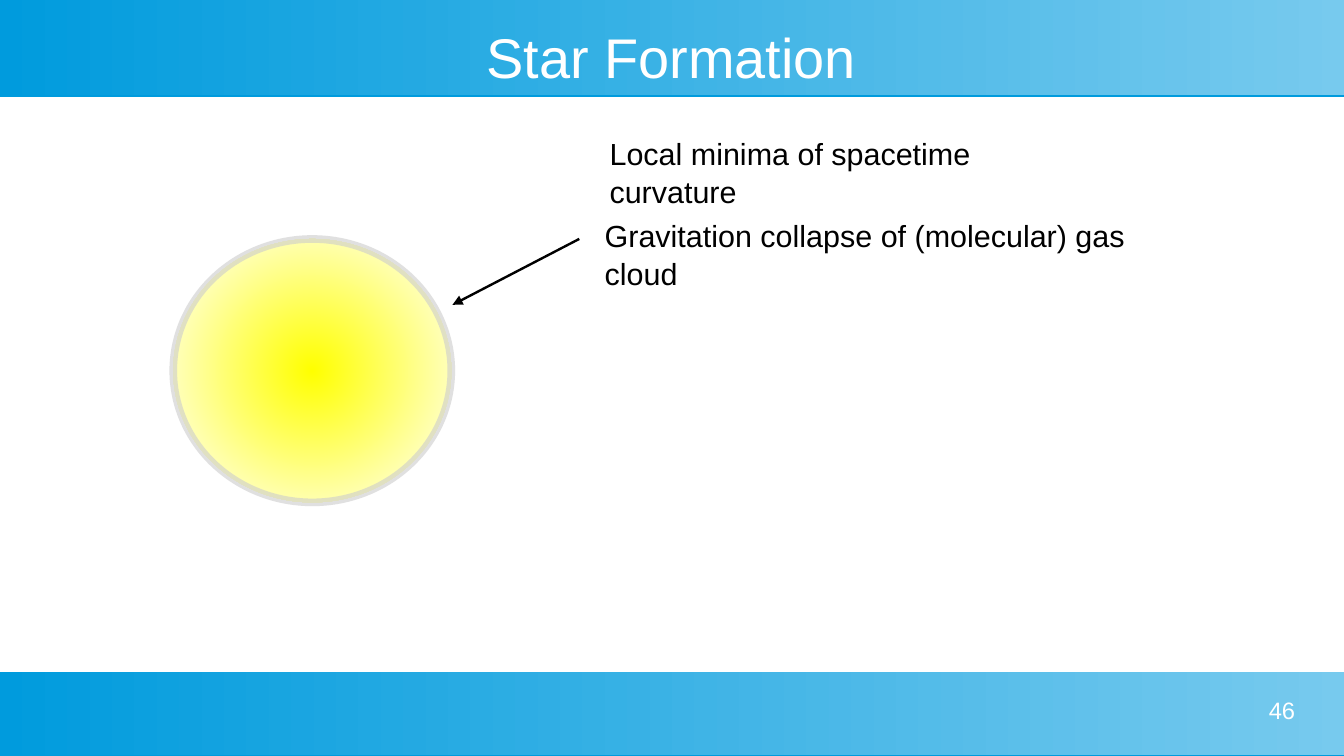
from dataclasses import dataclass

from lxml import etree
from pptx import Presentation
from pptx import util as u
from pptx.dml.color import RGBColor
from pptx.enum import shapes, text
from pptx.oxml import parse_xml
from pptx.oxml.ns import nsdecls, qn

WIDTH, HEIGHT = u.Inches(11.02), u.Inches(6.2)
FONT = "Arial"
BLUE, LIGHT_BLUE = "009BDD", "77CAEE"
WHITE, BLACK = "FFFFFF", "000000"


@dataclass(frozen=True)
class Box:
    left: float
    top: float
    width: float
    height: float

    def emu(self) -> tuple[int, int, int, int]:
        return (across(self.left), down(self.top),
                across(self.width), down(self.height))


@dataclass(frozen=True)
class Label:
    box: Box
    words: str
    size: float = 18
    color: str = BLACK
    align: text.PP_ALIGN = text.PP_ALIGN.LEFT
    margins: tuple[float, float] = (0.1, 0.05)
    anchor: text.MSO_ANCHOR = text.MSO_ANCHOR.TOP
    spacing: float = 1.0


BANDS = [Box(0, 0, 100, 12.58), Box(0, 88.87, 100, 10.97)]
STAR = Box(12.89, 31.61, 20.69, 34.84)
TITLE = Label(Box(3.54, 3.23, 92.83, 8.39), "Star Formation", 33, WHITE,
              text.PP_ALIGN.CENTER, (0, 0), text.MSO_ANCHOR.MIDDLE)
LABELS = [
    Label(Box(44.46, 16.94, 38.66, 5.97),
          "Local minima of spacetime curvature", spacing=1.04),
    Label(Box(44.1, 27.74, 46.37, 5.97),
          "Gravitation collapse of (molecular) gas cloud", spacing=1.04),
    Label(Box(73.23, 92.1, 23.14, 6.29), "46", 14, WHITE,
          text.PP_ALIGN.RIGHT, (0, 0)),
]


def across(percent: float) -> int:
    return round(WIDTH * percent / 100)


def down(percent: float) -> int:
    return round(HEIGHT * percent / 100)


def rgb(color: str) -> RGBColor:
    return RGBColor.from_string(color)


def add_gradient(sp, start: str, end: str) -> None:
    sp.fill.gradient()
    sp.fill.gradient_angle = 180
    for stop, color, position in zip(sp.fill.gradient_stops, (start, end), (0, 1)):
        stop.color.rgb = rgb(color)
        stop.position = position


def add_band(slide, box: Box) -> None:
    sp = slide.shapes.add_shape(shapes.MSO_SHAPE.RECTANGLE, *box.emu())
    add_gradient(sp, LIGHT_BLUE, BLUE)
    sp.line.fill.background()
    sp.element.spPr.append(parse_xml(
        f'<a:effectLst {nsdecls("a")}>'
        f'<a:outerShdw blurRad="0" dist="{u.Pt(0.9)}" dir="5400000" rotWithShape="0">'
        f'<a:srgbClr val="{BLUE}"/></a:outerShdw></a:effectLst>'))


def add_star(slide, box: Box) -> None:
    sp = slide.shapes.add_shape(shapes.MSO_SHAPE.OVAL, *box.emu())
    sp.shadow.inherit = False
    add_gradient(sp, "FFFF00", WHITE)
    linear = sp.element.spPr.find(f'{qn("a:gradFill")}/{qn("a:lin")}')
    linear.getparent().replace(linear, parse_xml(
        f'<a:path {nsdecls("a")} path="circle">'
        '<a:fillToRect l="50000" t="50000" r="50000" b="50000"/></a:path>'))
    sp.line.color.rgb = rgb("CCCCCC")
    sp.line.width = u.Pt(4.5)
    color = sp.element.spPr.find(f'{qn("a:ln")}//{qn("a:srgbClr")}')
    etree.SubElement(color, qn("a:alpha"), val="60000")


def add_arrow(slide, start: tuple[float, float], end: tuple[float, float]) -> None:
    line = slide.shapes.add_connector(
        shapes.MSO_CONNECTOR.STRAIGHT,
        across(start[0]), down(start[1]), across(end[0]), down(end[1]))
    line.line.color.rgb = rgb(BLACK)
    line.line.width = u.Pt(1.42)
    properties = line.element.spPr
    etree.SubElement(properties.find(qn("a:ln")), qn("a:tailEnd"), type="triangle")
    etree.SubElement(properties, qn("a:effectLst"))


def write_label(sp, label: Label) -> None:
    sp.left, sp.top, sp.width, sp.height = label.box.emu()
    tf = sp.text_frame
    tf.word_wrap = True
    tf.auto_size = text.MSO_AUTO_SIZE.NONE
    tf.vertical_anchor = label.anchor
    tf.margin_left = tf.margin_right = u.Inches(label.margins[0])
    tf.margin_top = tf.margin_bottom = u.Inches(label.margins[1])
    p = tf.paragraphs[0]
    p.text = label.words
    p.alignment = label.align
    p.line_spacing = label.spacing
    p.font.name = FONT
    p.font.size = u.Pt(label.size)
    p.font.color.rgb = rgb(label.color)


def main() -> None:
    prs = Presentation()
    prs.slide_width, prs.slide_height = WIDTH, HEIGHT
    slide = prs.slides.add_slide(prs.slide_layouts[5])
    for band in BANDS:
        add_band(slide, band)
    add_star(slide, STAR)
    add_arrow(slide, (43.1, 31.61), (33.67, 40.32))
    for label in LABELS:
        write_label(slide.shapes.add_textbox(*label.box.emu()), label)
    title = slide.shapes.title
    title.element.getparent().append(title.element)
    write_label(title, TITLE)
    prs.save("out.pptx")


if __name__ == "__main__":
    main()
